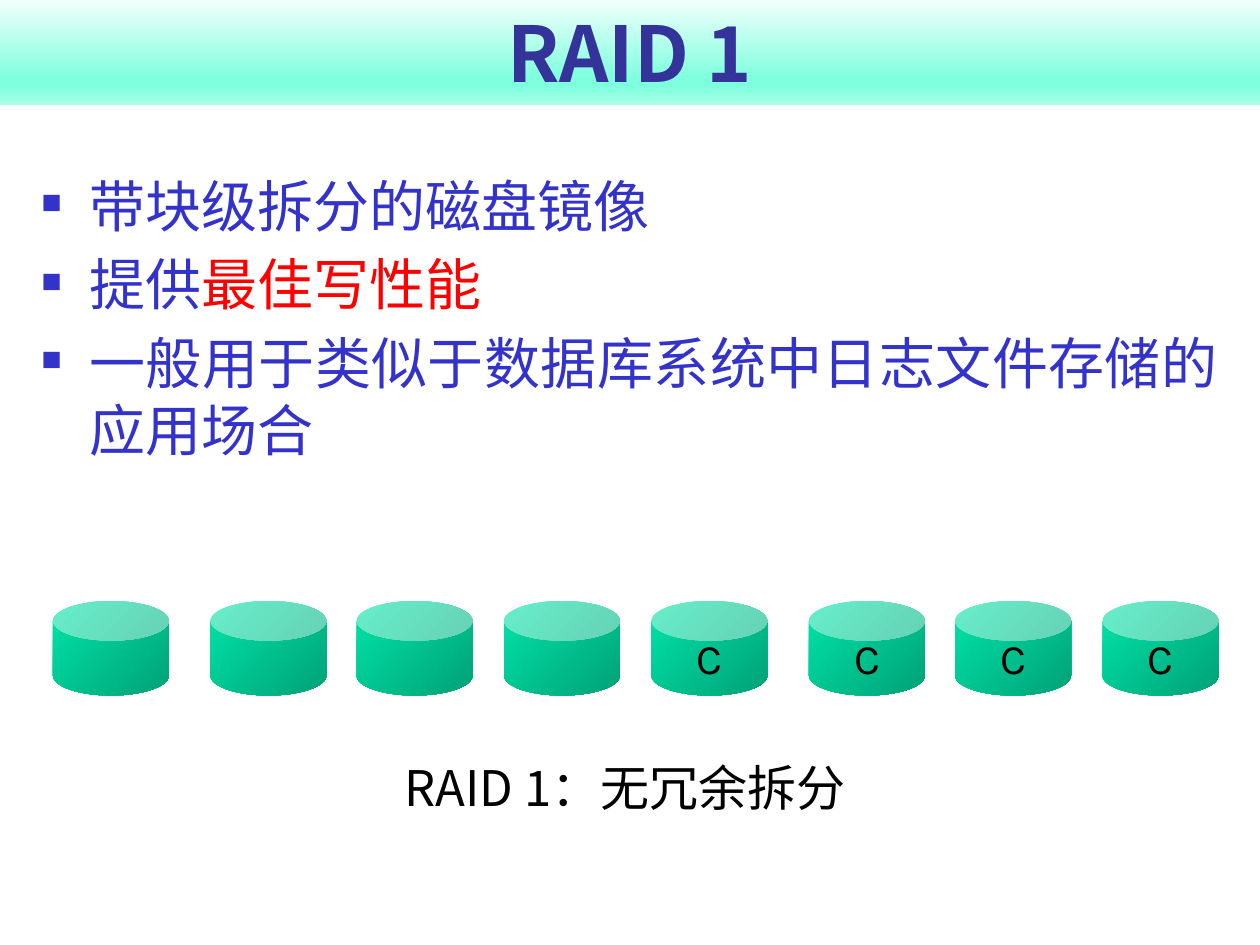
import dataclasses

import lxml.etree
import pptx
import pptx.dml.color
import pptx.enum.shapes
import pptx.enum.text
import pptx.oxml.ns
import pptx.util

Inches = pptx.util.Inches
Pt = pptx.util.Pt
RGB = pptx.dml.color.RGBColor.from_string
Align = pptx.enum.text.PP_ALIGN
Anchor = pptx.enum.text.MSO_ANCHOR
AutoSize = pptx.enum.text.MSO_AUTO_SIZE
qn = pptx.oxml.ns.qn


@dataclasses.dataclass(frozen=True)
class Theme:
    title: str = "333399"
    body: str = "3333CC"
    accent: str = "FF0000"
    dark: str = "000000"
    disk: str = "00E4A8"
    banner: tuple = ((0, "F1FFFB", 100), (74, "80FFDE", 100), (83, "80FFDE", 100), (100, "AAFFE9", 100))
    title_size: int = 44
    body_size: int = 32
    caption_size: int = 28
    disk_size: int = 24
    title_font: str = "Noto Sans CJK SC"
    body_font: str = "Courier New"
    caption_font: str = "Noto Sans CJK JP"
    disk_font: str = "Karla"


theme = Theme()


def fill_gradient(shape, stops, angle):
    """Fill with stops of (position %, colour, shade %), angle clockwise."""
    shape.fill.gradient()
    gradient = shape._element.spPr.find(qn("a:gradFill"))
    for child in list(gradient):
        gradient.remove(child)
    stop_list = lxml.etree.SubElement(gradient, qn("a:gsLst"))
    for position, color, shade in stops:
        stop = lxml.etree.SubElement(stop_list, qn("a:gs"), pos=str(position * 1000))
        value = lxml.etree.SubElement(stop, qn("a:srgbClr"), val=color)
        if shade < 100:
            lxml.etree.SubElement(value, qn("a:shade"), val=str(shade * 1000))
    lxml.etree.SubElement(gradient, qn("a:lin"), ang=str(angle * 60000), scaled="1")


def style_paragraph(paragraph, align, name, size, color, bold=False):
    paragraph.alignment = align
    font = paragraph.font
    font.name, font.size, font.bold = name, Pt(size), bold
    font.color.rgb = RGB(color)
    defaults = paragraph._p.pPr.find(qn("a:defRPr"))
    lxml.etree.SubElement(defaults, qn("a:ea"), typeface=name)


deck = pptx.Presentation()
deck.slide_width, deck.slide_height = Inches(10), Inches(7.5)
page = deck.slides.add_slide(deck.slide_layouts[1])

# Title banner
title = page.shapes.title
title.left, title.top, title.width, title.height = 0, 0, Inches(10), Inches(0.83)
fill_gradient(title, theme.banner, 90)
title.text_frame.text = "RAID 1"
title.text_frame.auto_size = AutoSize.NONE
title.text_frame.vertical_anchor = Anchor.BOTTOM
style_paragraph(title.text_frame.paragraphs[0], Align.CENTER, theme.title_font,
                theme.title_size, theme.title, bold=True)

# Bullet list: each item is a list of (text, colour) spans
items = [
    [("带块级拆分的磁盘镜像", theme.body)],
    [("提供", theme.body), ("最佳写性能", theme.accent)],
    [("一般用于类似于数据库系统中日志文件存储的应用场合", theme.body)],
]
body = page.placeholders[1]
body.left, body.top, body.width, body.height = Inches(0.23), Inches(1.31), Inches(9.54), Inches(2.83)
frame = body.text_frame
frame.auto_size = AutoSize.NONE
for index, spans in enumerate(items):
    paragraph = frame.add_paragraph() if index else frame.paragraphs[0]
    paragraph.space_before = Pt(6.4 if index else 0)
    properties = paragraph._p.get_or_add_pPr()
    properties.set("marL", str(Inches(0.38)))
    properties.set("indent", str(Inches(-0.38)))
    bullet_color = lxml.etree.SubElement(properties, qn("a:buClr"))
    lxml.etree.SubElement(bullet_color, qn("a:srgbClr"), val=theme.body)
    lxml.etree.SubElement(properties, qn("a:buSzPct"), val="60000")
    lxml.etree.SubElement(properties, qn("a:buFont"), typeface=theme.body_font)
    lxml.etree.SubElement(properties, qn("a:buChar"), char="■")
    style_paragraph(paragraph, Align.JUSTIFY, theme.body_font, theme.body_size, theme.body)
    for text, color in spans:
        span = paragraph.add_run()
        span.text = text
        if color != theme.body:
            span.font.color.rgb = RGB(color)

# Two sets of four disks: data, then mirror copies
diagram = page.shapes.add_group_shape()
for set_left, label in ((0.42, ""), (5.17, "C")):
    for offset in (0, 1.25, 2.41, 3.58):
        disk = diagram.shapes.add_shape(
            pptx.enum.shapes.MSO_SHAPE.CAN,
            Inches(set_left + offset), Inches(4.77), Inches(0.92), Inches(0.75))
        disk.adjustments[0] = 0.419
        disk.shadow.inherit = False
        disk.line.fill.background()
        fill_gradient(disk, ((0, theme.disk, 100), (100, theme.disk, 46)), 45)
        if label:
            disk.text_frame.text = label
            disk.text_frame.word_wrap = False
            disk.text_frame.vertical_anchor = Anchor.MIDDLE
            style_paragraph(disk.text_frame.paragraphs[0], Align.CENTER, theme.disk_font,
                            theme.disk_size, theme.dark)

caption = diagram.shapes.add_textbox(Inches(3), Inches(5.96), Inches(3.92), Inches(0.57))
caption.text_frame.text = "RAID 1：无冗余拆分"
caption.text_frame.word_wrap = True
caption.text_frame.auto_size = AutoSize.SHAPE_TO_FIT_TEXT
style_paragraph(caption.text_frame.paragraphs[0], Align.CENTER, theme.caption_font,
                theme.caption_size, theme.dark)

deck.save("out.pptx")
